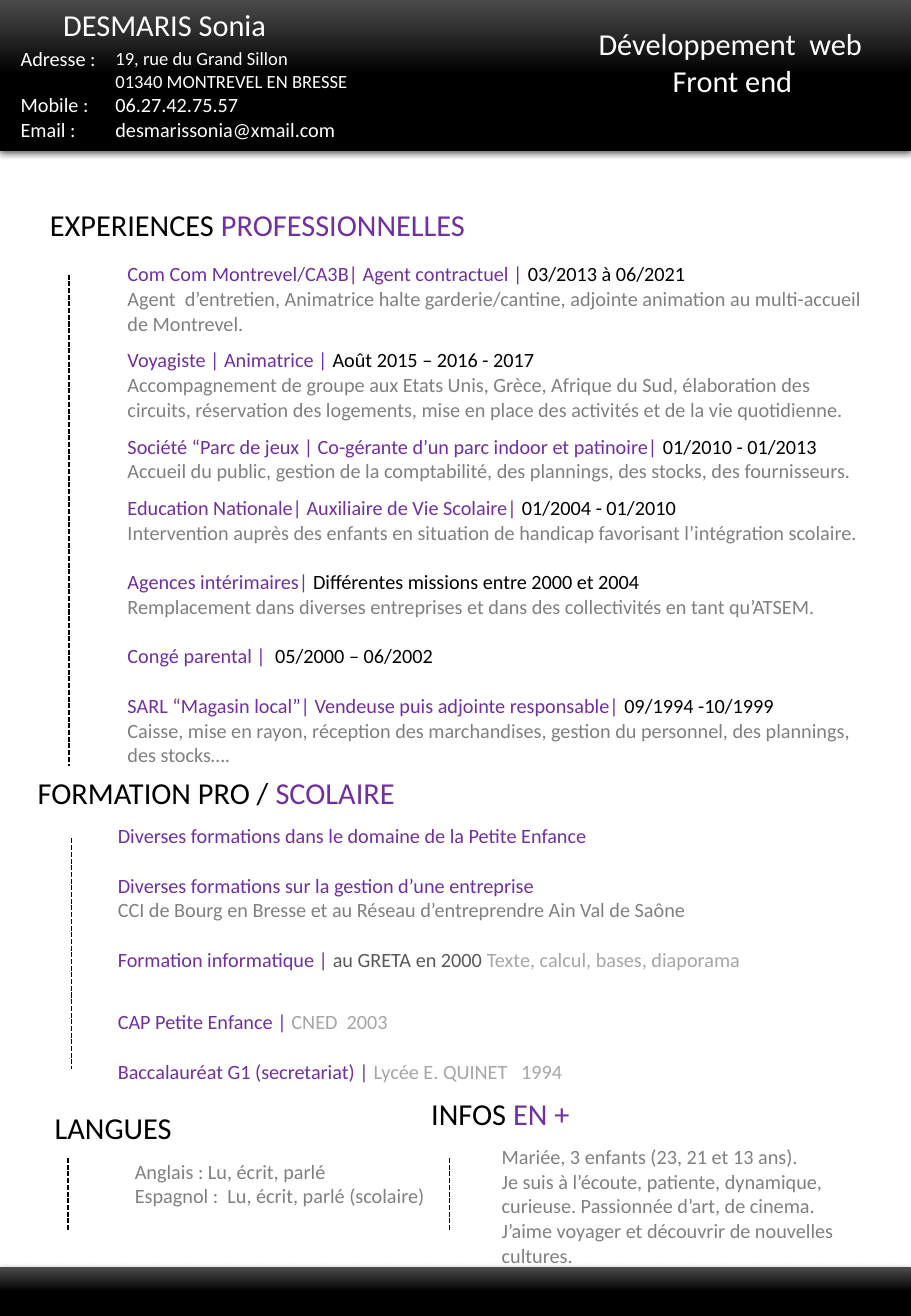
from lxml.etree import SubElement
from pptx import Presentation
from pptx.dml.color import RGBColor
from pptx.enum.dml import MSO_LINE
from pptx.enum.shapes import MSO_CONNECTOR as Connector, MSO_SHAPE as Shape
from pptx.enum.text import MSO_ANCHOR as Anchor, MSO_AUTO_SIZE as AutoSize, PP_ALIGN as Align
from pptx.oxml.ns import qn
from pptx.util import Inches, Pt

COLORS = {
    "black": "000000", "white": "FFFFFF", "charcoal": "4B4B4B", "purple": "7030A0",
    "gray": "808080", "dark": "595959", "light": "A6A6A6",
}
FONT = "Calibri"
NO_STYLE = "{2D5ABB26-0587-4C30-8999-92F81FD0307C}"
COLUMNS, ROWS = 75, 108.3  # square grid, ten units to the inch
BLANK_LINE = 14.65

# Each entry: runs of (text, colour); entries of one cell are parted by a line
EXPERIENCES = [
    [[[("Com Com Montrevel/CA3B| Agent contractuel | ", "purple"), ("03/2013 à 06/2021", "black")],
      [("Agent  d’entretien, Animatrice halte garderie/cantine, adjointe animation au "
        "multi-accueil de Montrevel.", "gray")]]],
    [[[("Voyagiste | Animatrice | ", "purple"), ("Août 2015 – 2016 - 2017", "black")],
      [("Accompagnement de groupe aux Etats Unis, Grèce, Afrique du Sud, élaboration des circuits, "
        "réservation des logements, mise en place des activités et de la vie quotidienne.", "gray")]]],
    [[[("Société “Parc de jeux | Co-gérante d’un parc indoor et patinoire| ", "purple"),
       ("01/2010 - 01/2013", "black")],
      [("Accueil du public, gestion de la comptabilité, des plannings, des stocks, "
        "des fournisseurs.", "gray")]]],
    [[[("Education Nationale| Auxiliaire de Vie Scolaire| ", "purple"), ("01/2004 - 01/2010", "black")],
      [("Intervention auprès des enfants en situation de handicap favorisant "
        "l’intégration scolaire.", "gray")]],
     [[("Agences intérimaires| ", "purple"), ("Différentes missions entre 2000 et 2004", "black")],
      [("Remplacement dans diverses entreprises et dans des collectivités en tant qu’ATSEM.", "gray")]],
     [[("Congé parental |  ", "purple"), ("05/2000 – 06/2002", "black")]],
     [[("SARL “Magasin local”| Vendeuse puis adjointe responsable| ", "purple"),
       ("09/1994 -10/1999", "black")],
      [("Caisse, mise en rayon, réception des marchandises, gestion du personnel, des plannings, "
        "des stocks….", "gray")]]],
]
TRAINING = [
    [[[("Diverses formations dans le domaine de la Petite Enfance", "purple")]],
     [[("Diverses formations sur la gestion d’une entreprise", "purple")],
      [("CCI de Bourg en Bresse et au Réseau d’entreprendre Ain Val de Saône", "gray")]],
     [[("Formation informatique |", "purple"), (" au GRETA en 2000 ", "dark"),
       ("Texte, calcul, bases, diaporama", "light")]]],
    [[[("CAP Petite Enfance | ", "purple"), ("CNED  2003", "light")]],
     [[("Baccalauréat G1 (secretariat) | ", "purple"), ("Lycée E. QUINET   1994", "light")]]],
]
LANGUAGES = [[[[("Anglais : Lu, écrit, parlé", "gray")],
               [("Espagnol :  Lu, écrit, parlé (scolaire)", "gray")]]]]
INFOS = [[[[("Mariée, 3 enfants (23, 21 et 13 ans).", "gray")],
           [("Je suis à l’écoute, patiente, dynamique, curieuse. Passionnée d’art, de cinema. "
             "J’aime voyager et découvrir de nouvelles cultures.", "gray")]]]]
CONTACT = [
    ("Adresse :", ["19, rue du Grand Sillon", "01340 MONTREVEL EN BRESSE"], 11),
    ("Mobile :", ["06.27.42.75.57"], 12),
    ("Email :", ["desmarissonia@xmail.com"], 12),
]


def grid(*units):
    return [Inches(unit / 10) for unit in units]


def color(name):
    return RGBColor.from_string(COLORS[name])


def format_run(run, size, name):
    run.font.name, run.font.size = FONT, Pt(size)
    run.font.color.rgb = color(name)


def write_entries(text_frame, entries, size):
    """Write entries of coloured paragraphs, one line apart."""
    paragraph = None
    for entry in entries:
        for index, runs in enumerate(entry):
            starts_entry = index == 0 and paragraph is not None
            paragraph = text_frame.paragraphs[0] if paragraph is None else text_frame.add_paragraph()
            if starts_entry:
                paragraph.space_before = Pt(BLANK_LINE)
            for text, name in runs:
                run = paragraph.add_run()
                run.text = text
                format_run(run, size, name)


def add_band(slide, top, height):
    band = slide.shapes.add_shape(Shape.RECTANGLE, *grid(0, top, COLUMNS, height))
    band.line.fill.background()
    band.fill.gradient()
    band.fill.gradient_angle = 270
    for stop, (name, position) in zip(band.fill.gradient_stops, [("charcoal", 0), ("black", 0.5)]):
        stop.color.rgb = color(name)
        stop.position = position
    # Soft shadow under the band
    band.shadow.inherit = False
    effects = band._element.spPr.find(qn("a:effectLst"))
    shadow = SubElement(effects, qn("a:outerShdw"), blurRad=str(Pt(4.5)), dist=str(Pt(1.5)),
                        dir="5400000", rotWithShape="0")
    shade = SubElement(shadow, qn("a:srgbClr"), val=COLORS["black"])
    SubElement(shade, qn("a:alpha"), val="63000")


def add_plain_table(slide, left, top, widths, heights):
    table = slide.shapes.add_table(len(heights), len(widths),
                                   *grid(left, top, sum(widths), sum(heights))).table
    table.first_row = table.horz_banding = False
    table._tbl.tblPr.find(qn("a:tableStyleId")).text = NO_STYLE
    for column, width in zip(table.columns, grid(*widths)):
        column.width = width
    for row, height in zip(table.rows, grid(*heights)):
        row.height = height
    for cell in table.iter_cells():
        cell.fill.background()
    return table


def add_section(slide, left, top, widths, heights, heading, cells):
    """Heading across both columns, then one cell per row in the second."""
    table = add_plain_table(slide, left, top, widths, heights)
    table.cell(0, 0).merge(table.cell(0, 1))
    write_entries(table.cell(0, 0).text_frame, [[heading]], 18)
    for index, entries in enumerate(cells, 1):
        write_entries(table.cell(index, 1).text_frame, entries, 12)


def add_contact(slide):
    table = add_plain_table(slide, 1, 3.9, [7.8, 21.6], [3.6, 2, 2])
    for cell in table.iter_cells():
        cell.margin_left, cell.margin_right, cell.margin_top, cell.margin_bottom = grid(0.7, 0.7, 0, 0)
    for index, (label, lines, size) in enumerate(CONTACT):
        write_entries(table.cell(index, 0).text_frame, [[[(label, "white")]]], 12)
        write_entries(table.cell(index, 1).text_frame, [[[(line, "white")] for line in lines]], size)


def add_dashes(slide, x, top, bottom):
    line = slide.shapes.add_connector(Connector.STRAIGHT, *grid(x, top, x, bottom))
    line.line.color.rgb = color("black")
    line.line.width = Pt(1)
    line.line.dash_style = MSO_LINE.SQUARE_DOT
    SubElement(line._element.spPr, qn("a:effectLst"))


def place_heading(shape, box, text, alignments):
    """White header text, one alignment per line."""
    shape.left, shape.top, shape.width, shape.height = grid(*box)
    frame = shape.text_frame
    frame.text = text
    frame.word_wrap, frame.auto_size, frame.vertical_anchor = True, AutoSize.NONE, Anchor.TOP
    for paragraph, alignment in zip(frame.paragraphs, alignments):
        paragraph.alignment = alignment
        format_run(paragraph.runs[0], 18, "white")


def main():
    presentation = Presentation()
    presentation.slide_width, presentation.slide_height = grid(COLUMNS, ROWS)
    slide = presentation.slides.add_slide(presentation.slide_layouts[5])

    # Header and footer bands
    add_band(slide, 0, 12.4)
    add_band(slide, 104.3, ROWS - 104.3)

    # Name, job and contact details
    title = slide.shapes.title
    place_heading(title, (4.2, 0, 23, 4), "DESMARIS Sonia", [Align.LEFT])
    slide.shapes._spTree.append(title._element)  # in front of the band
    job = slide.shapes.add_textbox(*grid(48.3, 1.6, 24, 7.1))
    place_heading(job, (48.3, 1.6, 24, 7.1), "Développement  web\nFront end", [Align.LEFT, Align.CENTER])
    add_contact(slide)

    # Sections
    add_section(slide, 3.1, 16.6, [6.4, 63.3], [4.5, 6.6, 6.6, 4.7, 27],
                [("EXPERIENCES ", "black"), ("PROFESSIONNELLES", "purple")], EXPERIENCES)
    add_section(slide, 2.1, 63.3, [6.6, 63.2], [4, 15.3, 11.3],
                [("FORMATION PRO / ", "black"), ("SCOLAIRE", "purple")], TRAINING)
    add_section(slide, 3.5, 90.9, [6.6, 26.5], [4, 5.1], [("LANGUES", "black")], LANGUAGES)
    add_section(slide, 34.5, 89.7, [5.8, 32], [4, 11.2],
                [("INFOS ", "black"), ("EN +", "purple")], INFOS)

    # Dashed rules beside the sections
    for x, top, bottom in [(5.7, 22.6, 63), (5.9, 69, 88), (5.6, 95.3, 101.2), (37, 95.3, 101.2)]:
        add_dashes(slide, x, top, bottom)

    presentation.save("out.pptx")


if __name__ == "__main__":
    main()
